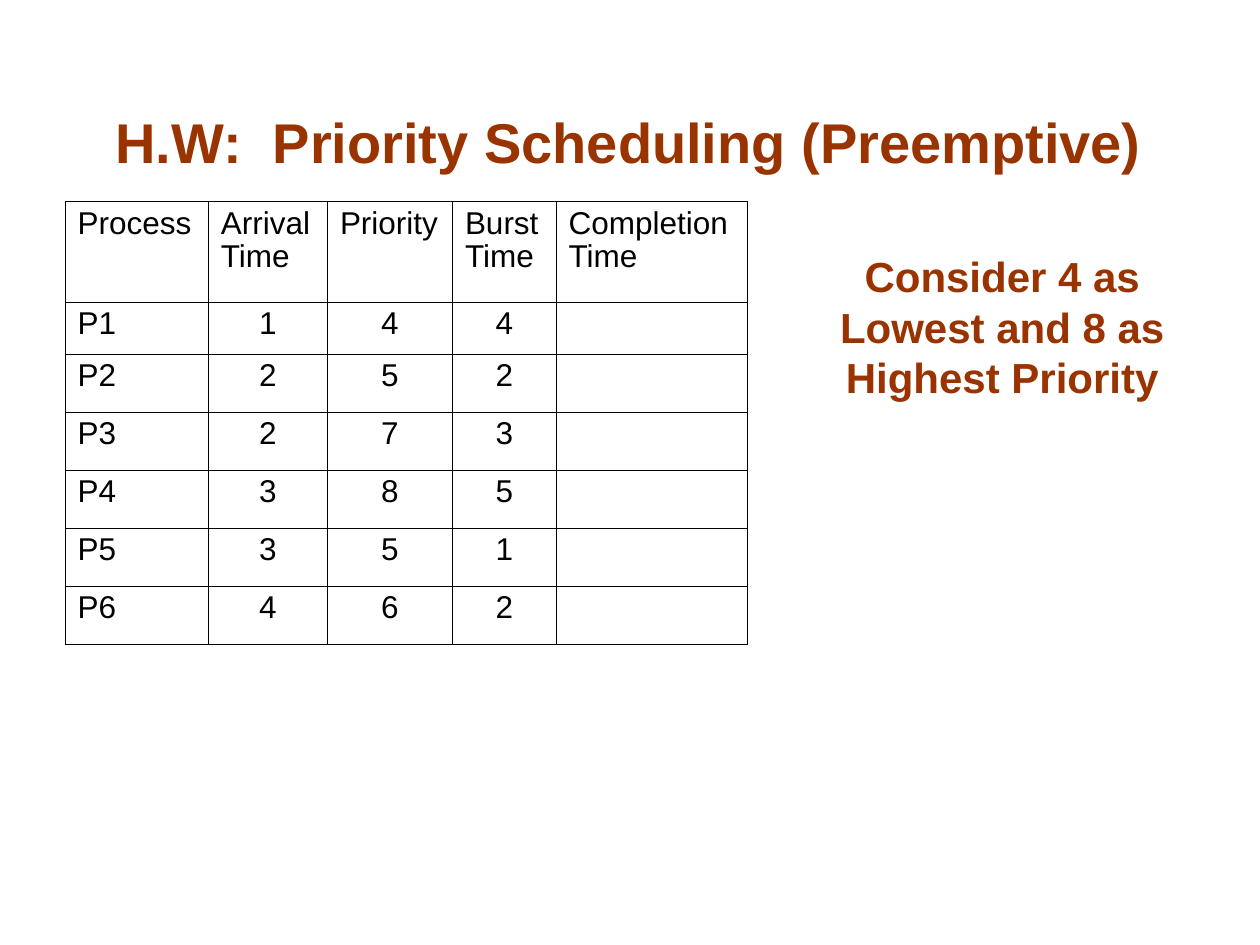
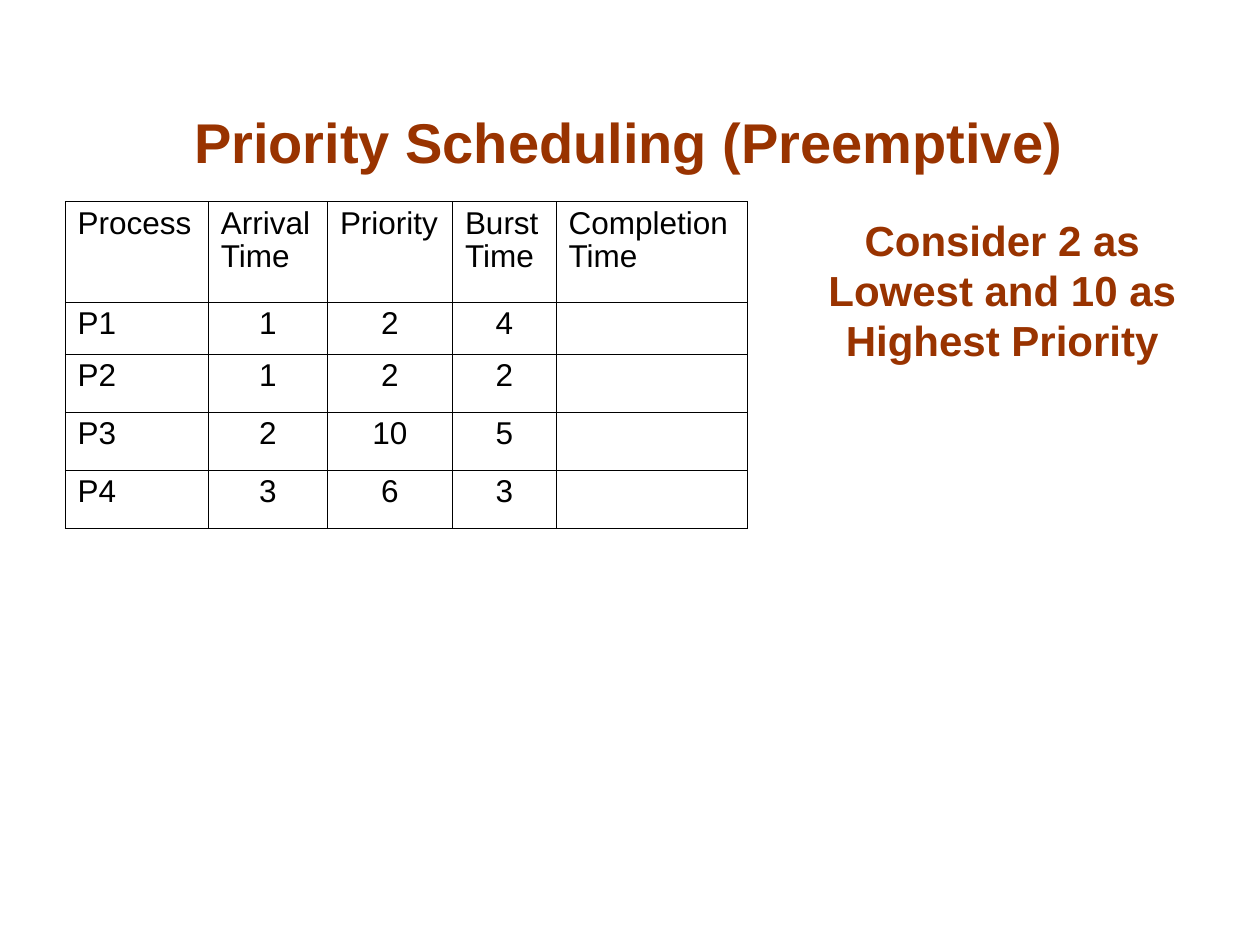
import lxml.etree
import pptx
import pptx.dml.color
import pptx.enum.text
import pptx.oxml.ns
import pptx.util

Cm = pptx.util.Cm
Pt = pptx.util.Pt
ALIGN = pptx.enum.text.PP_ALIGN

RUST = "993300"
BLACK = "000000"
FONT = "Arial"

HEADINGS = ["Process", "Arrival Time", "Priority", "Burst Time", "Completion Time"]
EXERCISES = [
    {
        "title": "H.W:  Priority Scheduling (Preemptive)",
        "processes": [
            ("P1", 1, 4, 4),
            ("P2", 2, 5, 2),
            ("P3", 2, 7, 3),
            ("P4", 3, 8, 5),
            ("P5", 3, 5, 1),
            ("P6", 4, 6, 2),
        ],
        "rule": "Consider 4 as Lowest and 8 as Highest Priority",
        "rule_box": (15.67, 4.24, 9.07, 3.99),
    },
    {
        "title": "Priority Scheduling (Preemptive)",
        "processes": [
            ("P1", 1, 2, 4),
            ("P2", 1, 2, 2),
            ("P3", 2, 10, 5),
            ("P4", 3, 6, 3),
        ],
        "rule": "Consider 2 as Lowest and 10 as Highest Priority",
        "rule_box": (15.67, 4.14, 9.07, 3.35),
    },
]

TITLE_BOX = (1.88, 1.85, 21.59, 1.8)
TABLE_LEFT, TABLE_TOP = 1.31, 4.06
COLUMN_WIDTHS = [2.89, 2.4, 2.52, 2.09, 3.86]
HEADING_HEIGHT, FIRST_HEIGHT, PROCESS_HEIGHT = 2.03, 1.04, 1.17
BORDER_WIDTH = Pt(0.11)


def rgb(value):
    return pptx.dml.color.RGBColor.from_string(value)


def write(frame, text, size=18, color=BLACK, bold=False, align=ALIGN.LEFT, spacing=None):
    paragraph = frame.paragraphs[0]
    paragraph.alignment = align
    paragraph.line_spacing = spacing
    run = paragraph.add_run()
    run.text = text
    run.font.name = FONT
    run.font.size = Pt(size)
    run.font.bold = bold
    run.font.color.rgb = rgb(color)


def add_heading(slide, text, box, size):
    frame = slide.shapes.add_textbox(*map(Cm, box)).text_frame
    frame.word_wrap = True
    frame.vertical_anchor = pptx.enum.text.MSO_ANCHOR.BOTTOM
    write(frame, text, size=size, color=RUST, bold=True, align=ALIGN.CENTER)


def outline(cell):
    qn = pptx.oxml.ns.qn
    properties = cell._tc.get_or_add_tcPr()
    for side in ("lnL", "lnR", "lnT", "lnB"):
        border = lxml.etree.SubElement(properties, qn(f"a:{side}"), w=str(int(BORDER_WIDTH)))
        fill = lxml.etree.SubElement(border, qn("a:solidFill"))
        lxml.etree.SubElement(fill, qn("a:srgbClr"), val=BLACK)
    cell.fill.background()


def add_schedule(slide, processes):
    heights = [HEADING_HEIGHT, FIRST_HEIGHT] + [PROCESS_HEIGHT] * (len(processes) - 1)
    schedule = slide.shapes.add_table(
        len(heights), len(HEADINGS), Cm(TABLE_LEFT), Cm(TABLE_TOP),
        Cm(sum(COLUMN_WIDTHS)), Cm(sum(heights)),
    ).table
    schedule.first_row = schedule.horz_banding = False
    for column, width in zip(schedule.columns, COLUMN_WIDTHS):
        column.width = Cm(width)
    for row, height in zip(schedule.rows, heights):
        row.height = Cm(height)
    for cell in schedule.iter_cells():
        outline(cell)
    for r, entries in enumerate([HEADINGS, *processes]):
        for c, entry in enumerate(entries):
            align = ALIGN.CENTER if r and c else ALIGN.LEFT
            write(schedule.cell(r, c).text_frame, str(entry), align=align, spacing=0.94)


def main():
    deck = pptx.Presentation()
    deck.slide_width, deck.slide_height = Cm(25.4), Cm(19.05)
    for exercise in EXERCISES:
        slide = deck.slides.add_slide(deck.slide_layouts[6])
        add_heading(slide, exercise["title"], TITLE_BOX, 32)
        add_schedule(slide, exercise["processes"])
        add_heading(slide, exercise["rule"], exercise["rule_box"], 24)
    deck.save("out.pptx")


if __name__ == "__main__":
    main()
